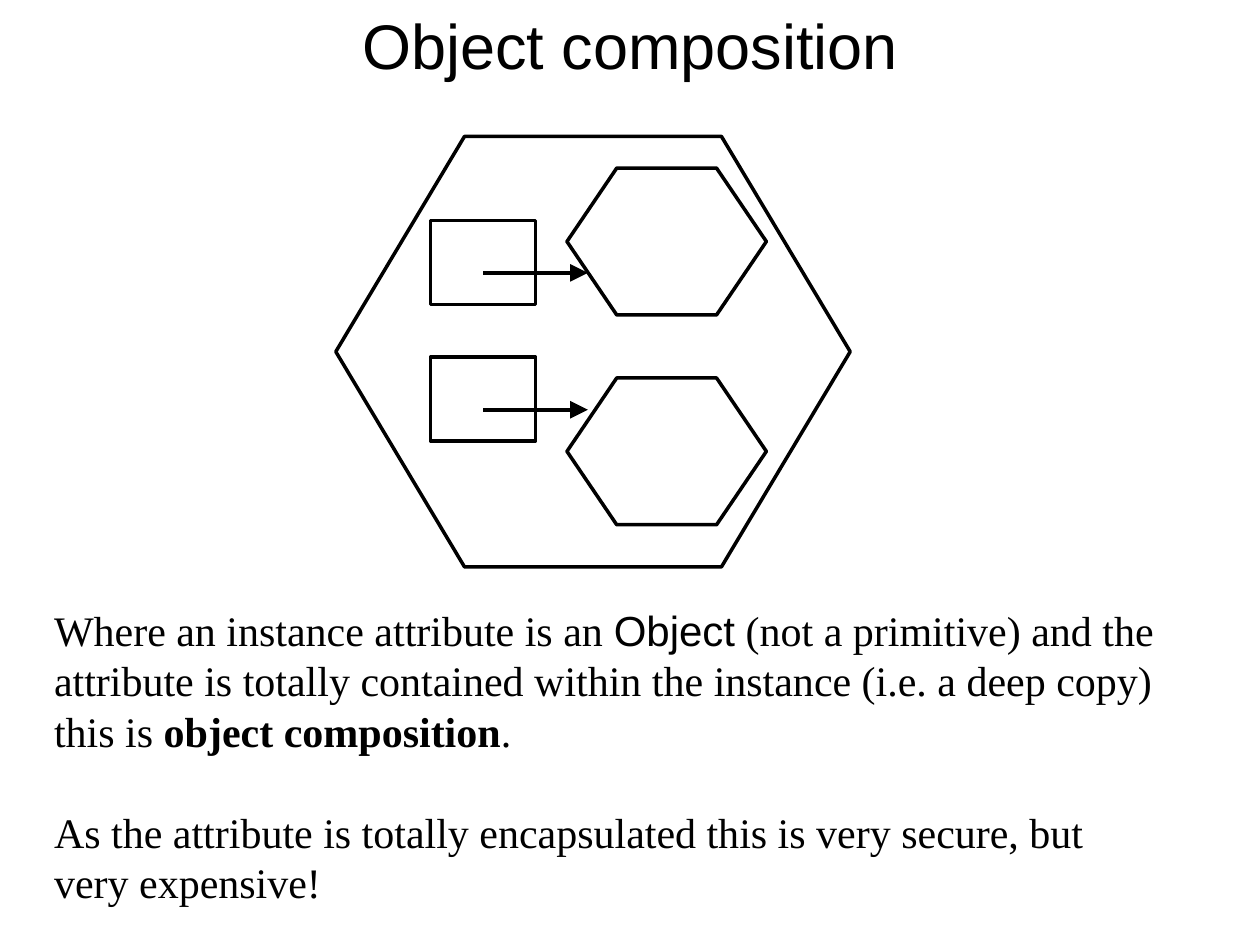
from lxml.etree import SubElement
from pptx import Presentation
from pptx.dml.color import RGBColor
from pptx.enum.shapes import MSO_CONNECTOR, MSO_SHAPE
from pptx.enum.text import MSO_ANCHOR, MSO_AUTO_SIZE, PP_ALIGN
from pptx.oxml.ns import qn
from pptx.util import Cm, Pt

BLACK = RGBColor(0x00, 0x00, 0x00)
LINE_WIDTH = Pt(2)
LINE_PITCH = Pt(28.8)

TITLE = "Object composition"
TITLE_FONT = {"name": "Arial", "size": Pt(36), "bold": False}

BODY_FONT = {"name": "Times New Roman", "size": Pt(24), "bold": False}
CODE_FONT = {**BODY_FONT, "name": "Arial"}
TERM_FONT = {**BODY_FONT, "bold": True}

# Each paragraph: space before, then its runs
EXPLANATION = [
    (0, [
        ("Where an instance attribute is an ", BODY_FONT),
        ("Object", CODE_FONT),
        (" (not a primitive) and the attribute is totally contained "
         "within the instance (i.e. a deep copy)", BODY_FONT),
    ]),
    (0, [("this is ", BODY_FONT), ("object composition", TERM_FONT), (".", BODY_FONT)]),
    (LINE_PITCH, [
        ("As the attribute is totally encapsulated this is very secure, but", BODY_FONT),
    ]),
    (0, [("very expensive!", BODY_FONT)]),
]

# Left, top, width, height in cm
TITLE_BOX = (0, 0, 25.4, 1.78)
EXPLANATION_BOX = (0.84, 12.06, 22.9, 6.35)
INSTANCE_BOX = (6.77, 2.75, 10.37, 8.68)
INSTANCE_ADJUST = 0.299

# Tops of each attribute's parts in cm: object, reference, arrow
ATTRIBUTES = [(3.39, 4.45, 5.5), (7.62, 7.2, 8.26)]
OBJECT_LEFT, OBJECT_SIZE, OBJECT_ADJUST = 11.43, (4.02, 2.96), 0.339
REFERENCE_LEFT, REFERENCE_SIZE = 8.68, (2.12, 1.69)
ARROW_START, ARROW_END = 9.74, 11.85


def add_outline(slide, preset, box, adjust=None):
    outline = slide.shapes.add_shape(preset, *map(Cm, box))
    outline.shadow.inherit = False
    outline.fill.background()
    outline.line.color.rgb = BLACK
    outline.line.width = LINE_WIDTH
    if adjust is not None:
        outline.adjustments[0] = adjust


def add_arrow(slide, y):
    arrow = slide.shapes.add_connector(
        MSO_CONNECTOR.STRAIGHT, Cm(ARROW_START), Cm(y), Cm(ARROW_END), Cm(y))
    arrow.line.color.rgb = BLACK
    arrow.line.width = LINE_WIDTH
    SubElement(arrow.line._get_or_add_ln(), qn("a:tailEnd"),
               type="triangle", w="lg", len="lg")
    SubElement(arrow._element.spPr, qn("a:effectLst"))


def add_run(paragraph, text, font_values):
    run = paragraph.add_run()
    run.text = text
    for attribute, value in font_values.items():
        setattr(run.font, attribute, value)
    run.font.color.rgb = BLACK


def set_frame(frame):
    frame.word_wrap = True
    frame.auto_size = MSO_AUTO_SIZE.SHAPE_TO_FIT_TEXT
    frame.vertical_anchor = MSO_ANCHOR.TOP


def add_title(slide):
    title = slide.shapes.title
    title.left, title.top, title.width, title.height = map(Cm, TITLE_BOX)
    set_frame(title.text_frame)
    heading = title.text_frame.paragraphs[0]
    heading.alignment = PP_ALIGN.CENTER
    heading.line_spacing = 1.0
    add_run(heading, TITLE, TITLE_FONT)


def add_explanation(slide):
    frame = slide.shapes.add_textbox(*map(Cm, EXPLANATION_BOX)).text_frame
    set_frame(frame)
    for index, (space_before, runs) in enumerate(EXPLANATION):
        paragraph = frame.add_paragraph() if index else frame.paragraphs[0]
        paragraph.alignment = PP_ALIGN.LEFT
        paragraph.line_spacing = LINE_PITCH
        paragraph.space_before = space_before
        for text, font_values in runs:
            add_run(paragraph, text, font_values)


def main():
    presentation = Presentation()
    presentation.slide_width, presentation.slide_height = Cm(25.4), Cm(19.05)
    slide = presentation.slides.add_slide(presentation.slide_layouts[5])

    add_title(slide)
    for object_top, _, _ in ATTRIBUTES:
        add_outline(slide, MSO_SHAPE.HEXAGON,
                    (OBJECT_LEFT, object_top, *OBJECT_SIZE), OBJECT_ADJUST)
    add_outline(slide, MSO_SHAPE.HEXAGON, INSTANCE_BOX, INSTANCE_ADJUST)
    add_explanation(slide)
    for _, reference_top, _ in ATTRIBUTES:
        add_outline(slide, MSO_SHAPE.RECTANGLE,
                    (REFERENCE_LEFT, reference_top, *REFERENCE_SIZE))
    for _, _, arrow_y in ATTRIBUTES:
        add_arrow(slide, arrow_y)

    presentation.save("out.pptx")


if __name__ == "__main__":
    main()
